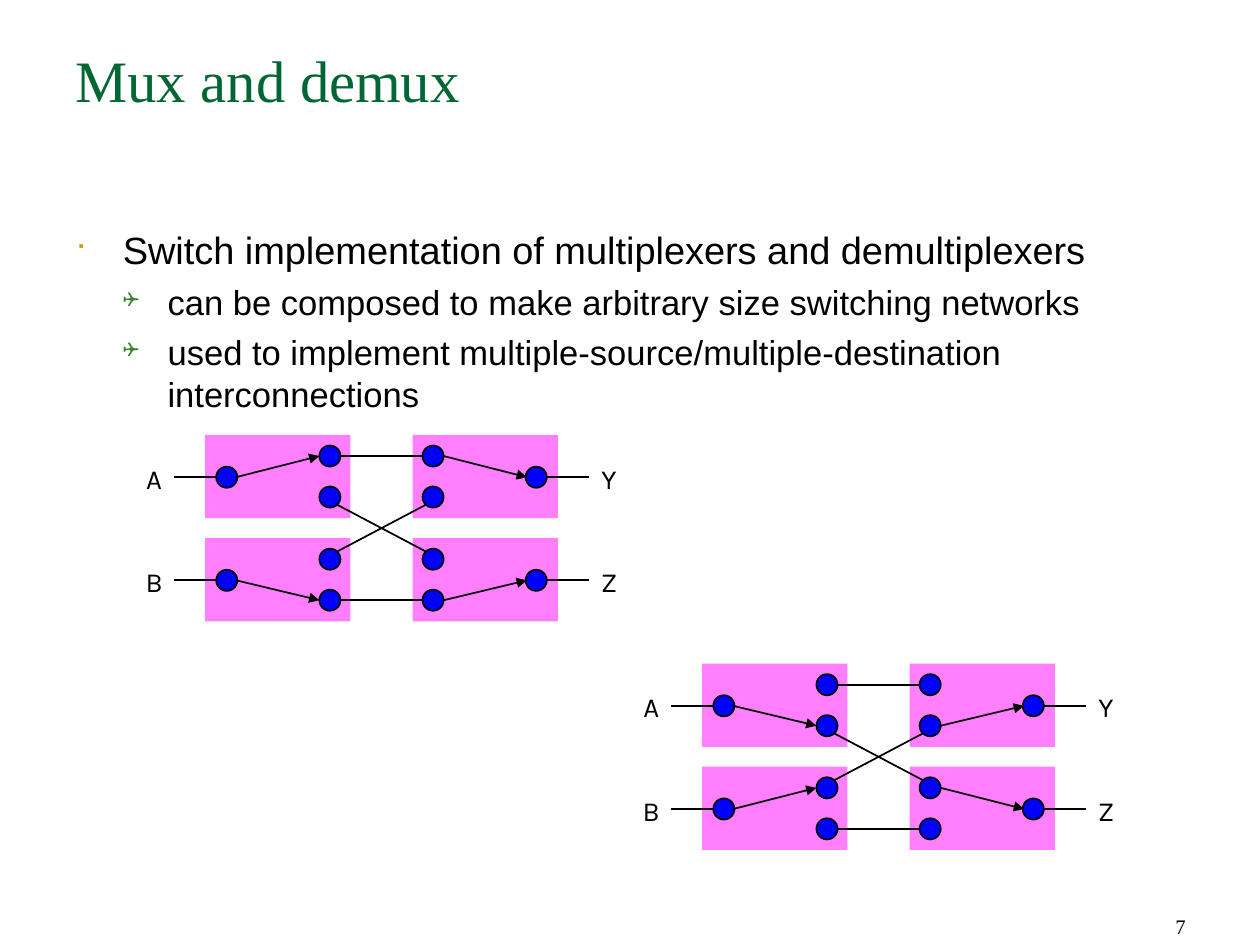
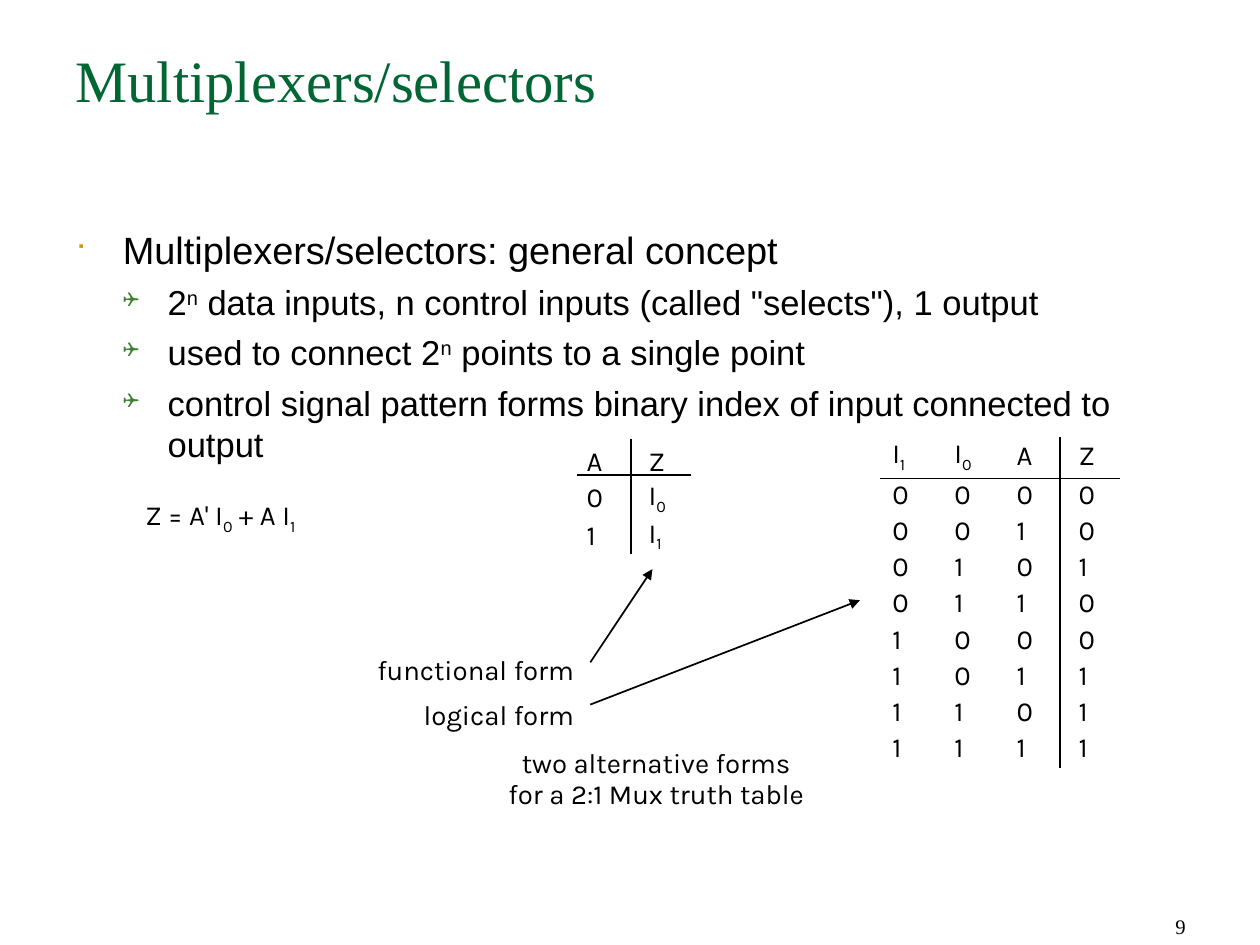
from lxml import etree
from pptx import Presentation
from pptx.dml.color import RGBColor
from pptx.enum.shapes import MSO_CONNECTOR, MSO_SHAPE
from pptx.enum.text import MSO_ANCHOR as ANCHOR, PP_ALIGN as ALIGN
from pptx.oxml.ns import qn
from pptx.util import Inches, Pt

COLORS = {"title": "006633", "text": "000000", "switch": "FF00FF", "dot": "0000FF",
          "bullet": "CC9900", "sub_bullet": "3B812F"}
SERIF, SANS, LABEL = "Times New Roman", "Arial", "Karla"
NO_STYLE_TABLE = "{2D5ABB26-0587-4C30-8999-92F81FD0307C}"

# Per outline level: text size, line height, space before, left, hanging, bullet
LEVELS = [
    (22, 26.8, 0, 0.38, 0.38, "■", "bullet", 65),
    (20, 24.1, 5, 0.74, 0.36, "❑", "sub_bullet", 60),
]


def write_text(frame, lines, size, font, color="text", align=ALIGN.LEFT, spacing=None):
    """Fill a text frame; pieces between bars marked _ or ^ are sub- or superscripts."""
    for index, line in enumerate(lines):
        paragraph = frame.paragraphs[0] if index == 0 else frame.add_paragraph()
        paragraph.alignment = align
        if spacing:
            paragraph.line_spacing = Pt(spacing)
        for piece in line.split("|"):
            run = paragraph.add_run()
            run.text = piece.lstrip("_^")
            run.font.size = Pt(size)
            run.font.name = font
            run.font.color.rgb = RGBColor.from_string(COLORS[color])
            if piece[:1] in ("_", "^"):
                shift = "-25000" if piece[0] == "_" else "30000"
                run.font._element.set("baseline", shift)


def add_line(slide, start, end, arrow=False):
    line = slide.shapes.add_connector(
        MSO_CONNECTOR.STRAIGHT, *[Inches(value) for value in (*start, *end)])
    line.line.width = Pt(1)
    line.line.color.rgb = RGBColor.from_string(COLORS["text"])
    if arrow:
        etree.SubElement(line.line._get_or_add_ln(), qn("a:tailEnd"), type="triangle")
    etree.SubElement(line._element.spPr, qn("a:effectLst"))


# 4:3 page, 10.14 by 7.6 inches
presentation = Presentation()
presentation.slide_width = Pt(730)
presentation.slide_height = Pt(547.5)

pages = [
    ("Mux and demux", "7", [
        "Switch implementation of multiplexers and demultiplexers",
        "can be composed to make arbitrary size switching networks",
        "used to implement multiple-source/multiple-destination interconnections",
    ]),
    ("Multiplexers/selectors", "9", [
        "Multiplexers/selectors: general concept",
        '2|^n| data inputs, n control inputs (called "selects"), 1 output',
        "used to connect 2|^n| points to a single point",
        "control signal pattern forms binary index of input connected to output",
    ]),
]

# Title, outline and page number of every slide
slides = []
for title, number, outline in pages:
    slide = presentation.slides.add_slide(presentation.slide_layouts[6])
    slides.append(slide)
    frames = []
    for box in [(0.51, 0.31, 9.12, 1.26), (0.51, 1.77, 9.12, 5.02), (7.27, 7.09, 2.37, 0.51)]:
        frame = slide.shapes.add_textbox(*[Inches(value) for value in box]).text_frame
        frame.word_wrap = True
        frames.append(frame)
    title_frame, outline_frame, number_frame = frames
    write_text(title_frame, [title], 34, SERIF, "title", spacing=40.6)
    number_frame.vertical_anchor = ANCHOR.BOTTOM
    write_text(number_frame, [number], 12, SERIF, align=ALIGN.RIGHT)

    write_text(outline_frame, outline, LEVELS[0][0], SANS)
    for index, paragraph in enumerate(outline_frame.paragraphs):
        level = min(index, 1)
        size, height, before, left, hanging, bullet, color, percent = LEVELS[level]
        paragraph.level = level
        paragraph.line_spacing = Pt(height)
        paragraph.space_before = Pt(before)
        properties = paragraph._p.get_or_add_pPr()
        properties.set("marL", str(Inches(left)))
        properties.set("indent", str(-Inches(hanging)))
        bullet_color = etree.SubElement(properties, qn("a:buClr"))
        etree.SubElement(bullet_color, qn("a:srgbClr"), val=COLORS[color])
        etree.SubElement(properties, qn("a:buSzPct"), val=str(percent * 1000))
        etree.SubElement(properties, qn("a:buFont"), typeface="Wingdings")
        etree.SubElement(properties, qn("a:buChar"), char=bullet)
        for run in paragraph.runs:
            run.font.size = Pt(size)

mux_slide, selector_slide = slides

# Labels in the diagrams: slide, box, lines, alignment, line height
labels = [
    (selector_slide, (3.67, 5.99, 3.22, 0.67),
     ["two alternative forms", "for a 2:1 Mux truth table"], ALIGN.CENTER, 18),
    (selector_slide, (2.58, 5.13, 2.06, 0.86),
     ["functional form", "logical form"], ALIGN.RIGHT, 26),
    (selector_slide, (1.15, 3.99, 1.97, 0.46), ["Z = A' I|_0| + A I|_1"], ALIGN.LEFT, 21),
]

# Switch networks: origin and the port chosen in the upper and lower row
ROW_STEP, DOT = 0.83, 0.17
PORTS = [0.17, 0.5]
SWITCH_MIDDLE = 0.34
networks = [((5.65, 5.34), (1, 0)), ((1.65, 3.5), (0, 1))]

for (left, top), chosen_ports in networks:
    # Switch bodies
    for row in range(2):
        for column in range(2):
            switch = mux_slide.shapes.add_shape(
                MSO_SHAPE.RECTANGLE, Inches(left + 1.67 * column),
                Inches(top + ROW_STEP * row), Inches(1.17), Inches(0.67))
            switch.shadow.inherit = False
            switch.fill.solid()
            switch.fill.fore_color.rgb = RGBColor.from_string(COLORS["switch"])
            switch.line.fill.background()
            color_element = switch._element.spPr.find(".//" + qn("a:srgbClr"))
            etree.SubElement(color_element, qn("a:alpha"), val="50000")

    for row, port in enumerate(chosen_ports):
        row_top = top + ROW_STEP * row
        middle = row_top + SWITCH_MIDDLE
        port_y = row_top + PORTS[port]

        # Contacts, by their left edge and centre height
        contacts = [(0.09, middle), (2.58, middle)]
        contacts += [(x, row_top + y) for x in (0.92, 1.75) for y in PORTS]
        for x, y in contacts:
            dot = mux_slide.shapes.add_shape(
                MSO_SHAPE.OVAL, Inches(left + x), Inches(y - DOT / 2), Inches(DOT), Inches(DOT))
            dot.shadow.inherit = False
            dot.fill.solid()
            dot.fill.fore_color.rgb = RGBColor.from_string(COLORS["dot"])
            dot.line.width = Pt(1)
            dot.line.color.rgb = RGBColor.from_string(COLORS["text"])

        # Outer leads, switch arms and the straight wire of the row
        add_line(mux_slide, (left - 0.25, middle), (left + 0.09, middle))
        add_line(mux_slide, (left + 2.75, middle), (left + 3.09, middle))
        add_line(mux_slide, (left + 0.25, middle), (left + 0.92, port_y), arrow=True)
        add_line(mux_slide, (left + 1.92, port_y), (left + 2.59, middle), arrow=True)
        wire_y = row_top + PORTS[row]
        add_line(mux_slide, (left + 1.09, wire_y), (left + 1.75, wire_y))

        for x, name in [(-0.57, "AB"[row]), (3.09, "YZ"[row])]:
            labels.append((mux_slide, (left + x, row_top + 0.16, 0.32, 0.43),
                           [name], ALIGN.CENTER, 21))

    # Crossing wires
    for start_y, end_y in [(0.56, 0.94), (0.94, 0.56)]:
        add_line(mux_slide, (left + 1.06, top + start_y), (left + 1.78, top + end_y))

for slide, box, lines, align, spacing in labels:
    frame = slide.shapes.add_textbox(*[Inches(value) for value in box]).text_frame
    frame.word_wrap = True
    frame.margin_left = frame.margin_right = Inches(0.02)
    frame.margin_top = frame.margin_bottom = Inches(0.03)
    write_text(frame, lines, 16, LABEL, align=align, spacing=spacing)

# Truth tables: left, top, header height, rows
COLUMN_WIDTH, ROW_HEIGHT = 0.5, 21 / 72
truth_tables = [
    (4.72, 3.59, 0.26, [["A", "Z"], ["0", "I|_0"], ["1", "I|_1"]]),
    (7.18, 3.51, 0.33, [["I|_1", "I|_0", "A", "Z"]]
     + [list(bits) for bits in ("0000", "0010", "0101", "0110",
                                "1000", "1011", "1101", "1111")]),
]
for left, top, header_height, rows in truth_tables:
    columns = len(rows[0])
    graphic = selector_slide.shapes.add_table(
        len(rows), columns, Inches(left), Inches(top), Inches(COLUMN_WIDTH * columns),
        Inches(header_height + ROW_HEIGHT * (len(rows) - 1)))
    table = graphic.table
    table.first_row = table.horz_banding = False
    table._tbl.tblPr.find(qn("a:tableStyleId")).text = NO_STYLE_TABLE
    for column in table.columns:
        column.width = Inches(COLUMN_WIDTH)
    for row_index, values in enumerate(rows):
        table.rows[row_index].height = Inches(ROW_HEIGHT if row_index else header_height)
        for column_index, value in enumerate(values):
            cell = table.cell(row_index, column_index)
            cell.fill.background()
            cell.margin_left = cell.margin_right = cell.margin_top = cell.margin_bottom = 0
            cell.vertical_anchor = ANCHOR.MIDDLE
            write_text(cell.text_frame, [value], 16, LABEL)

# Rules of the truth tables
for start, end in [((5.08, 3.53), (5.08, 4.46)), ((4.64, 3.82), (5.56, 3.82)),
                   ((8.53, 3.52), (8.53, 6.18)), ((7.08, 3.85), (9.01, 3.85))]:
    add_line(selector_slide, start, end)

# Arrows from the form names to the tables
add_line(selector_slide, (4.75, 5.33), (5.25, 4.58), arrow=True)
add_line(selector_slide, (4.75, 5.67), (6.92, 4.83), arrow=True)

presentation.save("out.pptx")
